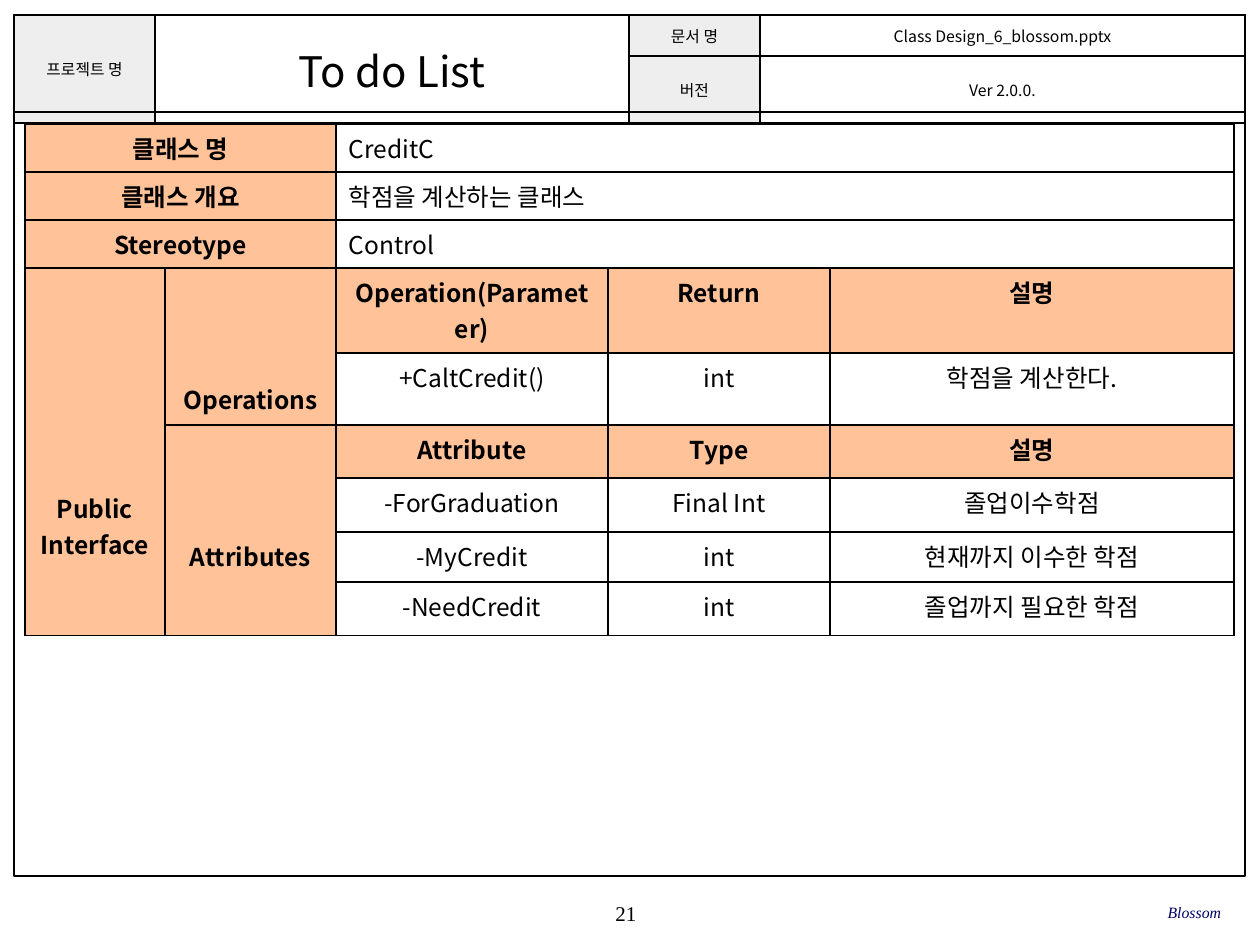
from lxml.etree import SubElement
from pptx import Presentation
from pptx.dml.color import RGBColor
from pptx.enum.shapes import MSO_SHAPE
from pptx.enum.text import MSO_ANCHOR, PP_ALIGN
from pptx.oxml.ns import qn
from pptx.util import Emu, Pt

PX = 914400 // 126
SANS = "Noto Sans CJK KR"
SERIF = "Times New Roman"
COLORS = {"black": "000000", "navy": "000066", "gray": "EEEEEE", "peach": "FFC299", "white": "FFFFFF"}


def write(text_frame, text, size, font, align, color="black", bold=False, italic=False):
    text_frame.text = text
    for paragraph in text_frame.paragraphs:
        paragraph.alignment = align
        for run in paragraph.runs:
            run.font.size = Pt(size)
            run.font.bold = bold
            run.font.italic = italic
            run.font.color.rgb = RGBColor.from_string(COLORS[color])
            run.font.name = font
            SubElement(run.font._element, qn("a:ea"), typeface=font)


def make_table(left, top, widths, heights, merges):
    frame = slide.shapes.add_table(
        len(heights), len(widths), left * PX, top * PX, sum(widths) * PX, sum(heights) * PX
    )
    table = frame.table
    table.first_row = table.horz_banding = False
    for column, width in zip(table.columns, widths):
        column.width = Emu(width * PX)
    for row, height in zip(table.rows, heights):
        row.height = Emu(height * PX)
    for cell in table.iter_cells():
        properties = cell._tc.get_or_add_tcPr()
        for side in ("lnL", "lnR", "lnT", "lnB"):
            line = SubElement(properties, qn(f"a:{side}"), w=str(Pt(1)))
            fill = SubElement(line, qn("a:solidFill"))
            SubElement(fill, qn("a:srgbClr"), val=COLORS["black"])
        cell.fill.background()
    for first, last in merges:
        table.cell(*first).merge(table.cell(*last))
    return table


presentation = Presentation()
presentation.slide_width = Emu(1260 * PX)
presentation.slide_height = Emu(945 * PX)
slide = presentation.slides.add_slide(presentation.slide_layouts[6])

header = make_table(14, 15, [141, 474, 131, 485], [41, 41], [((0, 0), (1, 0)), ((0, 1), (1, 1))])
header_cells = [
    (0, 0, "프로젝트 명", 9, "gray"),
    (0, 1, "To do List", 24, None),
    (0, 2, "문서 명", 9, "gray"),
    (0, 3, "Class Design_6_blossom.pptx", 9, None),
    (1, 2, "버전", 9, "gray"),
    (1, 3, "Ver 2.0.0.", 9, None),
]
for row, column, text, size, fill in header_cells:
    cell = header.cell(row, column)
    cell.margin_left = cell.margin_right = Emu(5 * PX)
    cell.margin_top = cell.margin_bottom = Emu(3 * PX)
    cell.vertical_anchor = MSO_ANCHOR.MIDDLE
    write(cell.text_frame, text, size, SANS, PP_ALIGN.CENTER)
    if fill:
        cell.fill.solid()
        cell.fill.fore_color.rgb = RGBColor.from_string(COLORS[fill])

page_frame = slide.shapes.add_shape(MSO_SHAPE.RECTANGLE, 14 * PX, 112 * PX, 1231 * PX, 764 * PX)
page_frame.shadow.inherit = False
page_frame.fill.background()
page_frame.line.color.rgb = RGBColor.from_string(COLORS["black"])
page_frame.line.width = Pt(0.75)

footers = [
    (495, 892, 262, "21", 12, PP_ALIGN.CENTER, "black", False),
    (835, 891, 386, "Blossom", 9, PP_ALIGN.RIGHT, "navy", True),
]
for left, top, width, text, size, align, color, italic in footers:
    text_frame = slide.shapes.add_textbox(left * PX, top * PX, width * PX, 42 * PX).text_frame
    text_frame.word_wrap = True
    text_frame.vertical_anchor = MSO_ANCHOR.MIDDLE
    text_frame.margin_left = text_frame.margin_right = 0
    text_frame.margin_top = text_frame.margin_bottom = 0
    write(text_frame, text, size, SERIF, align, color, italic=italic)

class_rows = [
    ["클래스 명", "", "CreditC", "", ""],
    ["클래스 개요", "", "학점을 계산하는 클래스", "", ""],
    ["Stereotype", "", "Control", "", ""],
    ["Public\nInterface", "Operations", "Operation(Parameter)", "Return", "설명"],
    ["", "", "+CaltCredit()", "int", "학점을 계산한다."],
    ["", "Attributes", "Attribute", "Type", "설명"],
    ["", "", "-ForGraduation", "Final Int", "졸업이수학점"],
    ["", "", "-MyCredit", "int", "현재까지 이수한 학점"],
    ["", "", "-NeedCredit", "int", "졸업까지 필요한 학점"],
]
summary_rows = range(3)
heading_rows = (3, 5)
merges = [((3, 0), (8, 0)), ((3, 1), (4, 1)), ((5, 1), (8, 1))]
for row in summary_rows:
    merges += [((row, 0), (row, 1)), ((row, 2), (row, 4))]

class_table = make_table(
    25, 124, [140, 171, 272, 222, 404], [48, 48, 48, 85, 72, 53, 54, 50, 54], merges
)
for row, texts in enumerate(class_rows):
    for column, text in enumerate(texts):
        cell = class_table.cell(row, column)
        if cell.is_spanned:
            continue
        is_heading = column < 2 or row in heading_rows
        is_summary = row in summary_rows and column == 2
        align = PP_ALIGN.LEFT if is_summary else PP_ALIGN.CENTER
        write(cell.text_frame, text, 14, SANS, align, bold=is_heading)
        cell.fill.solid()
        cell.fill.fore_color.rgb = RGBColor.from_string(COLORS["peach" if is_heading else "white"])

for row, column, margin in [(3, 0, 222), (3, 1, 113), (5, 1, 113)]:
    class_table.cell(row, column).margin_top = Emu(margin * PX)

presentation.save("out.pptx")
